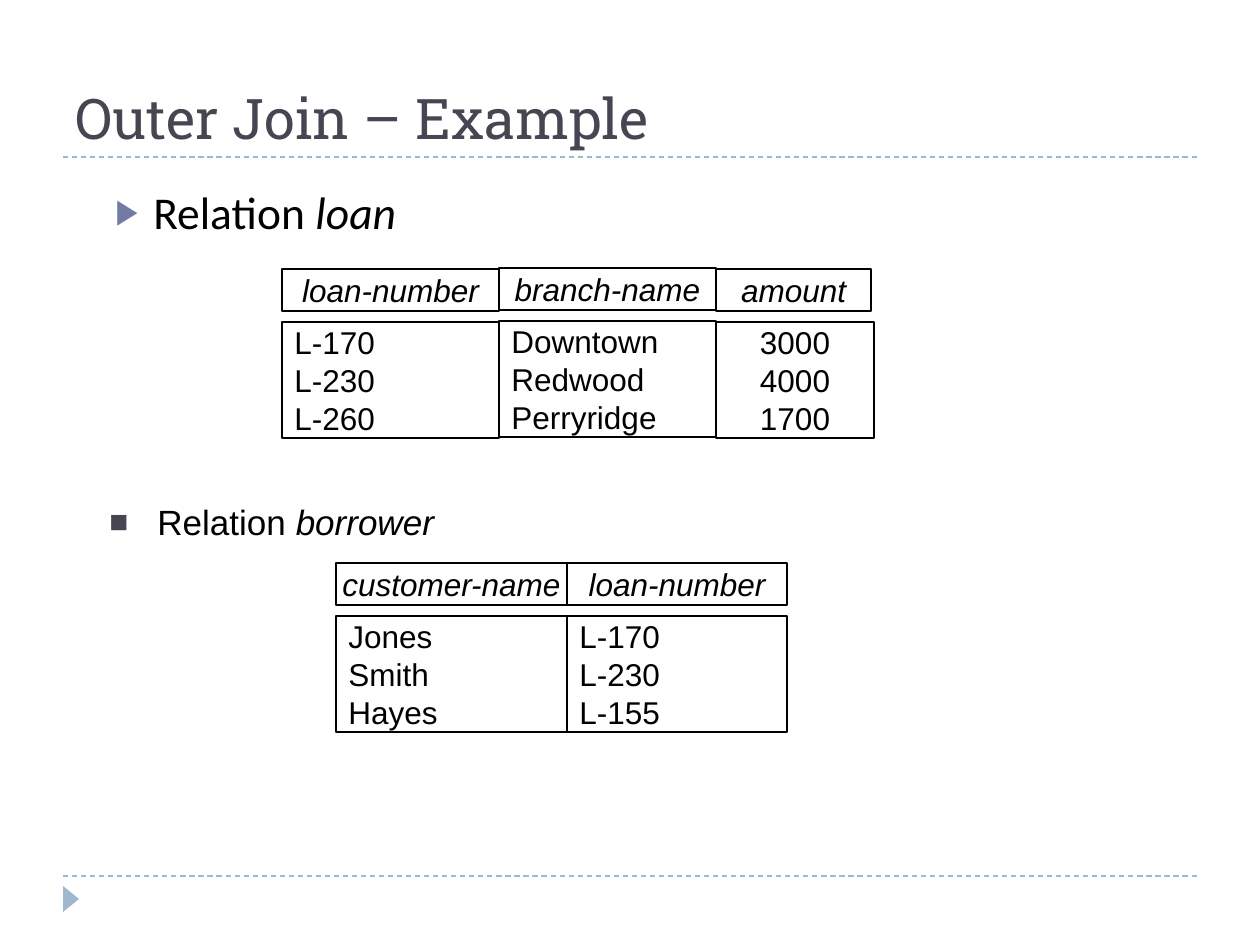
"""Build the outer join example slide with its loan and borrower relations."""
from dataclasses import dataclass

from lxml.etree import SubElement
from pptx import Presentation
from pptx.dml.color import RGBColor
from pptx.enum.dml import MSO_LINE
from pptx.enum.shapes import MSO_CONNECTOR, MSO_SHAPE
from pptx.enum.text import MSO_ANCHOR, MSO_AUTO_SIZE, PP_ALIGN
from pptx.oxml.ns import qn
from pptx.util import Pt

TITLE = "Outer Join – Example"
BULLETS = [
    dict(name="loan", box=(103, 184, 969, 67), indent=38, marker="▶", marker_color="727CA3",
         marker_size=76, font="Calibri", size=26, spacing=0.9),
    dict(name="borrower", box=(97, 494, 969, 67), indent=48, marker="■", marker_color="464653",
         marker_size=90, font="Arial", size=20, spacing=1.0),
]
RELATIONS = [
    dict(left=336, top=563, columns=[
        dict(heading="customer-name", values=["Jones", "Smith", "Hayes"], widths=(231, 231)),
        dict(heading="loan-number", values=["L-170", "L-230", "L-155"], widths=(220, 220)),
    ]),
    dict(left=282, top=269, columns=[
        dict(heading="loan-number", values=["L-170", "L-230", "L-260"], widths=(217, 217)),
        dict(heading="branch-name", values=["Downtown", "Redwood", "Perryridge"],
             widths=(217, 217), shift=-1),
        dict(heading="amount", values=["3000", "4000", "1700"], widths=(155, 158),
             align=PP_ALIGN.CENTER),
    ]),
]
RULE_TOPS = [876, 157]
HEADING_HEIGHT, BODY_OFFSET, BODY_HEIGHT = 42, 53, 116


@dataclass(frozen=True)
class Theme:
    title: str = "464653"
    text: str = "000000"
    cell: str = "FFFFFF"
    accent: str = "9FB8CD"
    title_font: str = "Roboto Slab"
    cell_font: str = "Arial"
    title_size: int = 32
    cell_size: int = 18
    line_width: float = 0.75


THEME = Theme()


def px(value):
    return round(value * 914400 / 126)


def place(box):
    return [px(value) for value in box]


def add_run(paragraph, text, font, size, color, italic=False):
    run = paragraph.add_run()
    run.text = text
    run.font.name = font
    run.font.size = Pt(size)
    run.font.italic = italic
    run.font.color.rgb = RGBColor.from_string(color)


def add_title(slide):
    title = slide.shapes.title
    title.left, title.top, title.width, title.height = place((63, 21, 1134, 136))
    frame = title.text_frame
    frame.auto_size = MSO_AUTO_SIZE.NONE
    frame.vertical_anchor = MSO_ANCHOR.BOTTOM
    paragraph = frame.paragraphs[0]
    paragraph.alignment = PP_ALIGN.LEFT
    add_run(paragraph, TITLE, THEME.title_font, THEME.title_size, THEME.title)


def add_rule(slide, top):
    rule = slide.shapes.add_connector(MSO_CONNECTOR.STRAIGHT, *place((63, top, 1197, top)))
    rule.line.color.rgb = RGBColor.from_string(THEME.accent)
    rule.line.width = Pt(THEME.line_width)
    rule.line.dash_style = MSO_LINE.DASH
    SubElement(rule._element.spPr, qn("a:effectLst"))


def add_corner_marker(slide):
    marker = slide.shapes.add_shape(MSO_SHAPE.ISOSCELES_TRIANGLE, *place((58, 891, 26, 16)))
    marker.rotation = 90
    marker.shadow.inherit = False
    marker.fill.solid()
    marker.fill.fore_color.rgb = RGBColor.from_string(THEME.accent)
    marker.line.fill.background()


def add_bullet(slide, bullet):
    frame = slide.shapes.add_textbox(*place(bullet["box"])).text_frame
    frame.word_wrap = True
    paragraph = frame.paragraphs[0]
    properties = paragraph._p.get_or_add_pPr()
    properties.set("marL", str(px(bullet["indent"])))
    properties.set("indent", str(-px(bullet["indent"])))
    color = SubElement(properties, qn("a:buClr"))
    SubElement(color, qn("a:srgbClr"), val=bullet["marker_color"])
    SubElement(properties, qn("a:buSzPct"), val=str(bullet["marker_size"] * 1000))
    SubElement(properties, qn("a:buFont"), typeface="Arial")
    SubElement(properties, qn("a:buChar"), char=bullet["marker"])
    paragraph.line_spacing = bullet["spacing"]
    for text, italic in (("Relation ", False), (bullet["name"], True)):
        add_run(paragraph, text, bullet["font"], bullet["size"], THEME.text, italic)


def add_cell(slide, box, lines, align, italic=False):
    cell = slide.shapes.add_shape(MSO_SHAPE.RECTANGLE, *place(box))
    cell.shadow.inherit = False
    cell.fill.solid()
    cell.fill.fore_color.rgb = RGBColor.from_string(THEME.cell)
    cell.line.color.rgb = RGBColor.from_string(THEME.text)
    cell.line.width = Pt(THEME.line_width)
    frame = cell.text_frame
    frame.word_wrap = False
    frame.vertical_anchor = MSO_ANCHOR.MIDDLE
    for index, line in enumerate(lines):
        paragraph = frame.add_paragraph() if index else frame.paragraphs[0]
        paragraph.alignment = align
        add_run(paragraph, line, THEME.cell_font, THEME.cell_size, THEME.text, italic)


def add_relation(slide, relation):
    left = relation["left"]
    for column in relation["columns"]:
        top = relation["top"] + column.get("shift", 0)
        heading_width, body_width = column["widths"]
        add_cell(slide, (left, top, heading_width, HEADING_HEIGHT),
                 [column["heading"]], PP_ALIGN.CENTER, italic=True)
        add_cell(slide, (left, top + BODY_OFFSET, body_width, BODY_HEIGHT),
                 column["values"], column.get("align", PP_ALIGN.LEFT))
        left += heading_width


def main():
    presentation = Presentation()
    presentation.slide_width, presentation.slide_height = px(1260), px(945)
    slide = presentation.slides.add_slide(presentation.slide_layouts[5])
    for top in RULE_TOPS:
        add_rule(slide, top)
    add_corner_marker(slide)
    add_title(slide)
    for bullet in BULLETS:
        add_bullet(slide, bullet)
    for relation in RELATIONS:
        add_relation(slide, relation)
    presentation.save("out.pptx")


if __name__ == "__main__":
    main()
